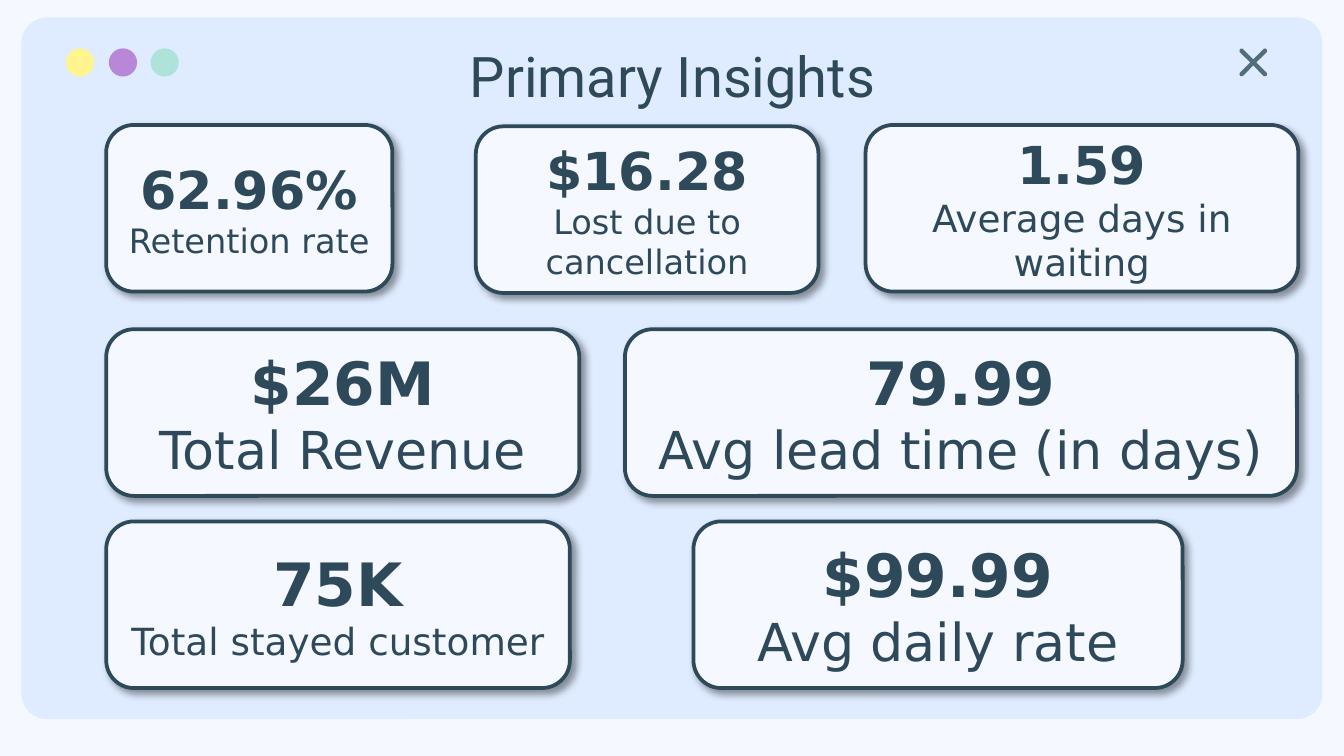
from pptx import Presentation
from pptx.dml.color import RGBColor
from pptx.enum.shapes import MSO_SHAPE
from pptx.enum.text import MSO_ANCHOR, MSO_AUTO_SIZE, PP_ALIGN
from pptx.oxml import parse_xml
from pptx.oxml.ns import nsdecls, qn
from pptx.util import Inches, Pt

ROUNDED, OVAL, CROSS = MSO_SHAPE.ROUNDED_RECTANGLE, MSO_SHAPE.OVAL, MSO_SHAPE.MATH_MULTIPLY
CENTER, MIDDLE, TOP = PP_ALIGN.CENTER, MSO_ANCHOR.MIDDLE, MSO_ANCHOR.TOP

PALE = RGBColor(0xF5, 0xF9, 0xFF)
PANEL = RGBColor(0xDF, 0xEC, 0xFF)
INK = RGBColor(0x2E, 0x49, 0x5A)
SLATE = RGBColor(0x51, 0x6D, 0x7F)
YELLOW = RGBColor(0xFF, 0xF4, 0x8F)
PURPLE = RGBColor(0xB8, 0x87, 0xD8)
MINT = RGBColor(0xAF, 0xE2, 0xD8)

SHADOW = (f'<a:outerShdw {nsdecls("a")} blurRad="{Pt(4)}" dist="{Pt(3)}" dir="2700000" '
          'algn="bl" rotWithShape="0"><a:srgbClr val="000000"><a:alpha val="40000"/>'
          '</a:srgbClr></a:outerShdw>')

# Widescreen 16:9 slide
prs = Presentation()
prs.slide_width = Inches(10)
prs.slide_height = prs.slide_width * 9 // 16
s = prs.slides.add_slide(prs.slide_layouts[5])
s.background.fill.solid()
s.background.fill.fore_color.rgb = PALE


def add_box(kind, x, y, w, h, fill, line=None, weight=0):
    sp = s.shapes.add_shape(kind, Inches(x), Inches(y), Inches(w), Inches(h))
    sp.shadow.inherit = False
    sp.fill.solid()
    sp.fill.fore_color.rgb = fill
    if line is None:
        sp.line.fill.background()
    else:
        sp.line.color.rgb = line
        sp.line.width = Pt(weight)
    return sp


def format_text(p, font, size, bold=False):
    p.alignment = CENTER
    for r in p.runs:
        r.font.name = font
        r.font.size = Pt(size)
        r.font.bold = bold
        r.font.color.rgb = INK


# Window panel with its three dots and close mark
panel = add_box(ROUNDED, 0.16, 0.13, 9.68, 5.22, PANEL)
panel.adjustments[0] = 0.036
for x, color in ((0.49, YELLOW), (0.81, PURPLE), (1.12, MINT)):
    add_box(OVAL, x, 0.36, 0.21, 0.21, color)
close = add_box(CROSS, 9.15, 0.29, 0.35, 0.35, SLATE, SLATE, 1.5)
close.adjustments[0] = 0.031

# Title, raised above the panel
title = s.shapes.title
title.left, title.top = Inches(0.79), Inches(0.21)
title.width, title.height = Inches(8.43), Inches(0.63)
tf = title.text_frame
tf.text = "Primary Insights"
tf.auto_size, tf.vertical_anchor, tf.word_wrap = MSO_AUTO_SIZE.NONE, TOP, True
tf.margin_left = tf.margin_right = tf.margin_top = tf.margin_bottom = Inches(0.1)
format_text(tf.paragraphs[0], "Roboto", 30)
s.shapes._spTree.append(title._element)

# Metric cards: left, top, width, value, value size, label, label size
CARD_H = 1.24
LEFT = 0.79
ROW_1, ROW_2, ROW_3 = 0.93, 2.45, 3.88
cards = [
    (LEFT, ROW_1, 2.13, "62.96%", 28, "Retention rate", 18),
    (LEFT, ROW_2, 3.52, "$26M", 32, "Total Revenue", 28),
    (LEFT, ROW_3, 3.45, "75K", 32, "Total stayed customer", 20),
    (4.65, ROW_2, 5, "79.99", 32, "Avg lead time (in days)", 28),
    (5.16, ROW_3, 3.64, "$99.99", 32, "Avg daily rate", 28),
    (6.44, ROW_1, 3.22, "1.59", 28, "Average days in waiting", 20),
    (3.54, ROW_1 + 0.01, 2.55, "$16.28", 28, "Lost due to cancellation", 18),
]
for x, y, w, value, value_size, label, label_size in cards:
    card = add_box(ROUNDED, x, y, w, CARD_H, PALE, INK, 2)
    card._element.spPr.find(qn("a:effectLst")).append(parse_xml(SHADOW))
    tf = card.text_frame
    tf.word_wrap, tf.vertical_anchor = True, MIDDLE
    tf.text = f"{value}\n{label}"
    format_text(tf.paragraphs[0], "DejaVu Sans", value_size, True)
    format_text(tf.paragraphs[1], "DejaVu Sans", label_size)

prs.save("out.pptx")
